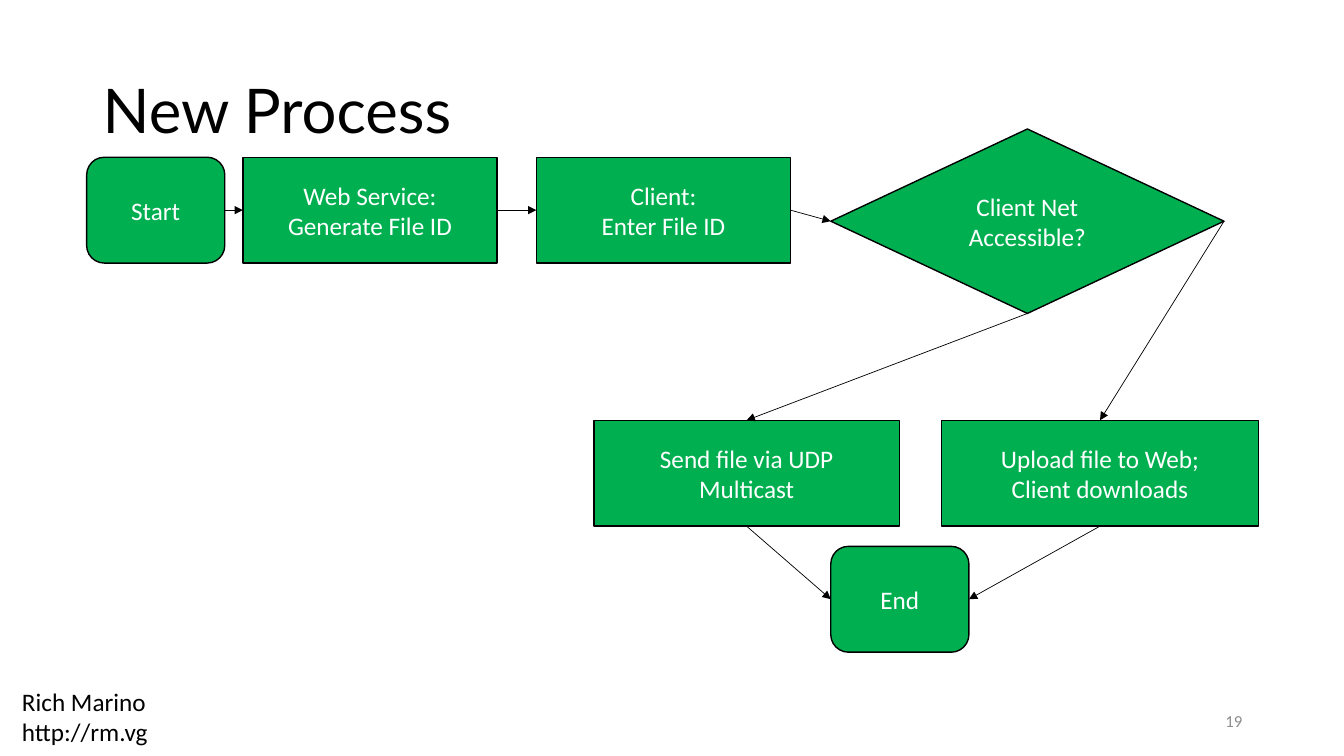
from dataclasses import dataclass
from enum import IntEnum

from lxml.etree import SubElement
from pptx import Presentation
from pptx.dml.color import RGBColor
from pptx.enum.shapes import MSO_CONNECTOR, MSO_SHAPE as Preset
from pptx.enum.text import MSO_ANCHOR as Anchor, PP_ALIGN as Align
from pptx.oxml.ns import qn
from pptx.shapes.autoshape import Shape
from pptx.slide import Slide
from pptx.text.text import TextFrame
from pptx.util import Emu, Pt

PX = 9144  # 100 px to the inch
GREEN = RGBColor(0x00, 0xB0, 0x50)
BLACK = RGBColor(0x00, 0x00, 0x00)
WHITE = RGBColor(0xFF, 0xFF, 0xFF)
GREY = RGBColor(0x8C, 0x8C, 0x8C)

TERMINAL = Preset.FLOWCHART_ALTERNATE_PROCESS
PROCESS = Preset.FLOWCHART_PROCESS
DECISION = Preset.FLOWCHART_DECISION

STEP_HEIGHT = 105
TOP_ROW, BRANCH_ROW, END_ROW = 156, 417, 542


class Side(IntEnum):
    """Connection sites shared by all the flowchart presets."""
    TOP = 0
    LEFT = 1
    BOTTOM = 2
    RIGHT = 3


@dataclass(frozen=True)
class Label:
    text: str
    left: int
    top: int
    width: int
    height: int
    size: int = 18
    name: str = "Calibri"
    color: RGBColor = BLACK
    align: Align = Align.LEFT
    anchor: Anchor = Anchor.MIDDLE
    spacing: float = 1.0


@dataclass(frozen=True)
class Step:
    text: str
    preset: Preset
    left: int
    top: int
    width: int
    height: int = STEP_HEIGHT


@dataclass(frozen=True)
class Flow:
    source: str
    source_side: Side
    target: str
    target_side: Side


LABELS = [
    Label("Rich Marino\nhttp://rm.vg", 12, 676, 286, 70, anchor=Anchor.TOP),
    Label("New Process", 92, 40, 1150, 145, size=44, name="Lato", spacing=0.9),
    Label("19", 942, 695, 300, 40, size=12, color=GREY, align=Align.RIGHT),
]

STEPS = {
    "start": Step("Start", TERMINAL, 86, TOP_ROW, 137),
    "end": Step("End", TERMINAL, 824, END_ROW, 137),
    "generate": Step("Web Service:\nGenerate File ID", PROCESS, 241, TOP_ROW, 252),
    "enter": Step("Client:\nEnter File ID", PROCESS, 532, TOP_ROW, 252),
    "accessible": Step("Client Net Accessible?", DECISION, 824, 128, 390, 183),
    "multicast": Step("Send file via UDP\nMulticast", PROCESS, 589, BRANCH_ROW, 303),
    "upload": Step("Upload file to Web;\nClient downloads", PROCESS, 934, BRANCH_ROW, 314),
}

FLOWS = [
    Flow("start", Side.RIGHT, "generate", Side.LEFT),
    Flow("generate", Side.RIGHT, "enter", Side.LEFT),
    Flow("enter", Side.RIGHT, "accessible", Side.LEFT),
    Flow("accessible", Side.RIGHT, "upload", Side.TOP),
    Flow("accessible", Side.BOTTOM, "multicast", Side.TOP),
    Flow("multicast", Side.BOTTOM, "end", Side.LEFT),
    Flow("upload", Side.BOTTOM, "end", Side.RIGHT),
]


def bounds(part: Label | Step) -> list[Emu]:
    return [Emu(px * PX) for px in (part.left, part.top, part.width, part.height)]


def format_text(frame: TextFrame, color: RGBColor, font: dict,
                paragraph_format: dict, anchor: Anchor) -> None:
    frame.word_wrap = True
    frame.vertical_anchor = anchor
    for paragraph in frame.paragraphs:
        for key, value in paragraph_format.items():
            setattr(paragraph, key, value)
        for run in paragraph.runs:
            run.font.color.rgb = color
            for key, value in font.items():
                setattr(run.font, key, value)


def draw_label(slide: Slide, label: Label) -> None:
    frame = slide.shapes.add_textbox(*bounds(label)).text_frame
    frame.text = label.text
    format_text(frame, label.color,
                {"name": label.name, "size": Pt(label.size)},
                {"alignment": label.align, "line_spacing": label.spacing},
                label.anchor)


def draw_step(slide: Slide, step: Step) -> Shape:
    box = slide.shapes.add_shape(step.preset, *bounds(step))
    box.shadow.inherit = False
    box.fill.solid()
    box.fill.fore_color.rgb = GREEN
    box.line.color.rgb = BLACK
    box.line.width = Pt(1)
    # Paragraph text turns a newline into a line break.
    box.text_frame.paragraphs[0].text = step.text
    format_text(box.text_frame, WHITE, {"name": "Calibri", "size": Pt(18)},
                {"alignment": Align.CENTER}, Anchor.MIDDLE)
    return box


def draw_flow(slide: Slide, flow: Flow, boxes: dict[str, Shape]) -> None:
    arrow = slide.shapes.add_connector(MSO_CONNECTOR.STRAIGHT, 0, 0, 0, 0)
    arrow.begin_connect(boxes[flow.source], flow.source_side.value)
    arrow.end_connect(boxes[flow.target], flow.target_side.value)
    arrow.line.color.rgb = BLACK
    arrow.line.width = Pt(0.5)
    SubElement(arrow.line._get_or_add_ln(), qn("a:tailEnd"), type="triangle")
    SubElement(arrow._element.spPr, qn("a:effectLst"))


def main() -> None:
    deck = Presentation()
    deck.slide_width, deck.slide_height = Emu(1333 * PX), Emu(750 * PX)
    slide = deck.slides.add_slide(deck.slide_layouts[6])
    for label in LABELS:
        draw_label(slide, label)
    boxes = {key: draw_step(slide, step) for key, step in STEPS.items()}
    for flow in FLOWS:
        draw_flow(slide, flow, boxes)
    deck.save("out.pptx")


if __name__ == "__main__":
    main()
